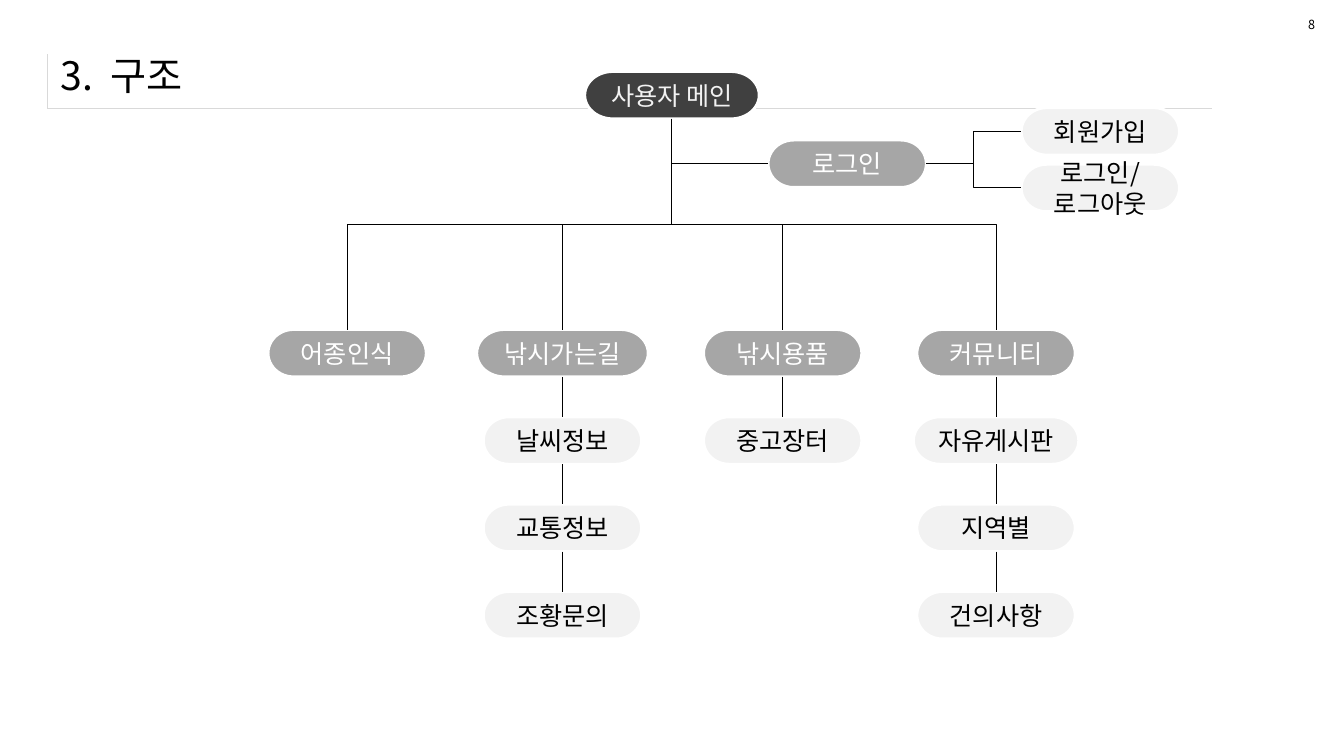
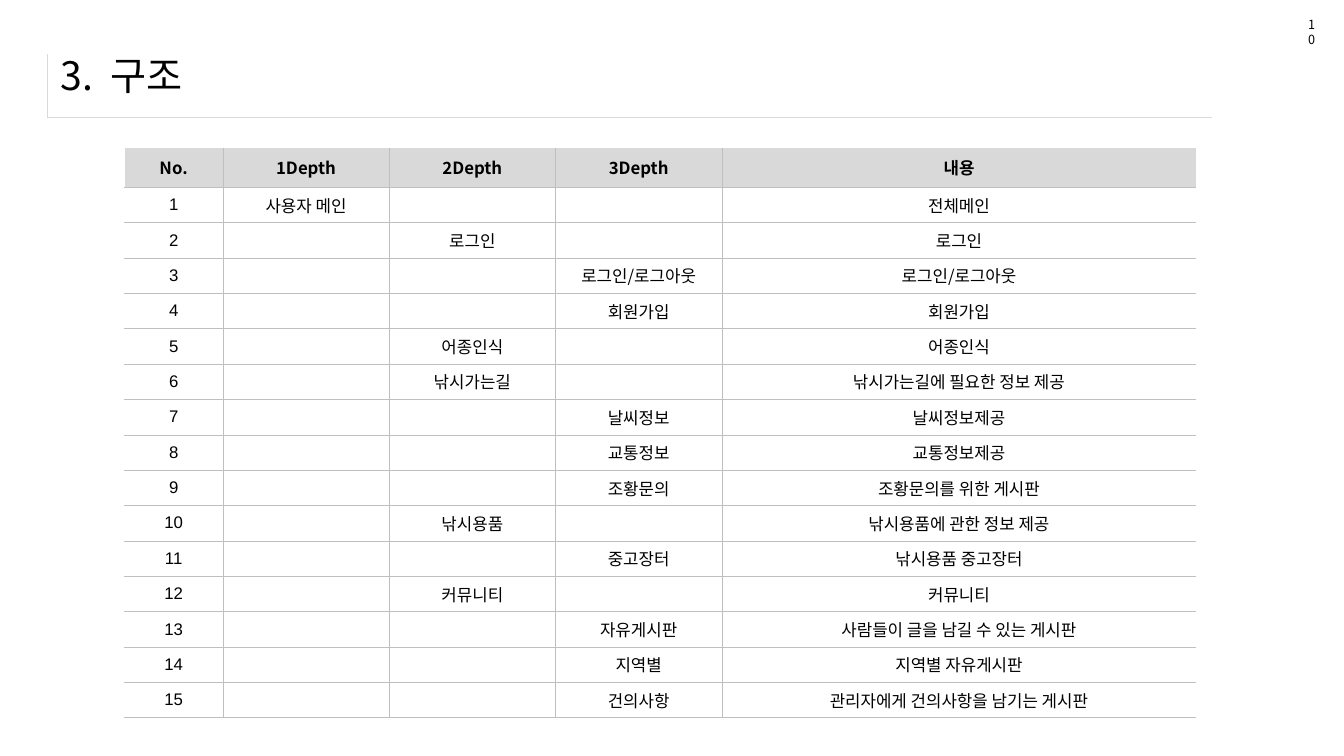
from lxml import etree
from pptx import Presentation
from pptx.dml.color import RGBColor
from pptx.enum.shapes import MSO_CONNECTOR, MSO_SHAPE
from pptx.enum.text import MSO_ANCHOR, MSO_AUTO_SIZE, PP_ALIGN
from pptx.oxml.ns import qn
from pptx.util import Pt

TERMINATOR = MSO_SHAPE.FLOWCHART_TERMINATOR
STRAIGHT, ELBOW = MSO_CONNECTOR.STRAIGHT, MSO_CONNECTOR.ELBOW
MIDDLE, CENTER, LEFT_ALIGN = MSO_ANCHOR.MIDDLE, PP_ALIGN.CENTER, PP_ALIGN.LEFT
TOP, LEFT, BOTTOM, RIGHT = range(4)  # connection sites

COLORS = {
    "black": "000000", "white": "FFFFFF", "dark": "404040", "gray": "A6A6A6",
    "light": "F2F2F2", "frame": "D9D9D9", "grid": "BFBFBF",
}
FONT, NUMBER_FONT = "Noto Sans CJK KR", "Arial"
NO_STYLE = "{2D5ABB26-0587-4C30-8999-92F81FD0307C}"

# Node kinds: fill and text colour
MAIN, MENU, PAGE = ("dark", "light"), ("gray", "white"), ("light", "black")
NODE_WIDTH, NODE_HEIGHT = 113, 33.8
MENU_TOP, LEVEL_STEP = 235.4, 62.4

# Menu columns: centre, then the node names and widths from top to bottom
MENUS = [
    (248, [("어종인식", NODE_WIDTH)]),
    (401.8, [("낚시가는길", 122.4), ("날씨정보", NODE_WIDTH),
             ("교통정보", NODE_WIDTH), ("조황문의", NODE_WIDTH)]),
    (559.1, [("낚시용품", NODE_WIDTH), ("중고장터", NODE_WIDTH)]),
    (711.5, [("커뮤니티", NODE_WIDTH), ("자유게시판", 118),
             ("지역별", NODE_WIDTH), ("건의사항", NODE_WIDTH)]),
]

HEADERS = ["No.", "1Depth", "2Depth", "3Depth", "내용"]
COLUMN_WIDTHS = [70.3, 118.8, 118.8, 118.8, 338.9]
HEADER_HEIGHT, ROW_HEIGHT = 27.9, 25.28

# Depth, page name, description
PAGES = [
    (1, "사용자 메인", "전체메인"),
    (2, "로그인", "로그인"),
    (3, "로그인/로그아웃", "로그인/로그아웃"),
    (3, "회원가입", "회원가입"),
    (2, "어종인식", "어종인식"),
    (2, "낚시가는길", "낚시가는길에 필요한 정보 제공"),
    (3, "날씨정보", "날씨정보제공"),
    (3, "교통정보", "교통정보제공"),
    (3, "조황문의", "조황문의를 위한 게시판"),
    (2, "낚시용품", "낚시용품에 관한 정보 제공"),
    (3, "중고장터", "낚시용품 중고장터"),
    (2, "커뮤니티", "커뮤니티"),
    (3, "자유게시판", "사람들이 글을 남길 수 있는 게시판"),
    (3, "지역별", "지역별 자유게시판"),
    (3, "건의사항", "관리자에게 건의사항을 남기는 게시판"),
]


def color(name):
    return RGBColor.from_string(COLORS[name])


def add_run(paragraph, text, size, color_name="black", bold=False, font=FONT):
    run = paragraph.add_run()
    run.text = text
    run.font.size, run.font.bold, run.font.name = Pt(size), bold, font
    run.font.color.rgb = color(color_name)
    east_asian = etree.SubElement(run.font._element, qn("a:ea"))
    east_asian.set("typeface", FONT)
    return run


# Tables
def add_plain_table(slide, left, top, widths, heights):
    shape = slide.shapes.add_table(
        len(heights), len(widths), Pt(left), Pt(top),
        Pt(sum(widths)), Pt(sum(heights)))
    table = shape.table
    table.first_row = table.horz_banding = False
    table._tbl.tblPr.find(qn("a:tableStyleId")).text = NO_STYLE
    for column, width in zip(table.columns, widths):
        column.width = Pt(width)
    for row, height in zip(table.rows, heights):
        row.height = Pt(height)
    return table


def set_border(cell, side, color_name, width):
    line = etree.SubElement(cell._tc.get_or_add_tcPr(), qn(f"a:ln{side}"))
    line.set("w", str(Pt(width)))
    fill = etree.SubElement(line, qn("a:solidFill"))
    etree.SubElement(fill, qn("a:srgbClr")).set("val", COLORS[color_name])


def fill_cell(cell, text, bold=False, font=FONT):
    cell.vertical_anchor = MIDDLE
    paragraph = cell.text_frame.paragraphs[0]
    paragraph.alignment = CENTER
    if text:
        add_run(paragraph, text, 12, bold=bold, font=font)
    else:
        etree.SubElement(paragraph._p, qn("a:endParaRPr")).set("sz", "1200")


def add_page_table(slide):
    rows = [HEADERS]
    for number, (depth, name, description) in enumerate(PAGES, 1):
        names = [name if level == depth else "" for level in (1, 2, 3)]
        rows.append([str(number), *names, description])
    heights = [HEADER_HEIGHT] + [ROW_HEIGHT] * len(PAGES)
    table = add_plain_table(slide, 88.9, 105.8, COLUMN_WIDTHS, heights)
    last_column = len(HEADERS) - 1
    for row, texts in enumerate(rows):
        for column, text in enumerate(texts):
            cell = table.cell(row, column)
            is_number = row > 0 and column == 0
            fill_cell(cell, text, row == 0, NUMBER_FONT if is_number else FONT)
            if column == 0:
                set_border(cell, "L", "white", 1)
            else:
                set_border(cell, "L", "grid", 0.25)
            if column < last_column:
                set_border(cell, "R", "grid", 0.25)
            if row > 0:
                set_border(cell, "T", "grid", 0.25)
            set_border(cell, "B", "grid", 0.25)
            if row == 0:
                cell.fill.solid()
                cell.fill.fore_color.rgb = color("frame")
            else:
                cell.fill.background()


# Shared slide parts
def prepare_layout(presentation):
    layout = presentation.slide_layouts[5]
    title = layout.placeholders[0]
    title.left, title.top = Pt(36), Pt(29.5)
    title.width, title.height = Pt(899.3), Pt(48.2)
    title.text_frame.vertical_anchor = MIDDLE
    return layout


def add_slide(presentation, layout, page_number, frame_height):
    slide = presentation.slides.add_slide(layout)

    # Title frame: left and bottom rule
    frame = add_plain_table(slide, 33.8, 38.9, [832.3], [frame_height])
    cell = frame.cell(0, 0)
    for side in "LB":
        set_border(cell, side, "frame", 0.25)
    fill_cell(cell, "")
    cell.fill.background()

    # Title, with a wider gap after the chapter number
    title_frame = slide.shapes.title.text_frame
    title_frame.auto_size = MSO_AUTO_SIZE.NONE
    paragraph = title_frame.paragraphs[0]
    paragraph.alignment = LEFT_ALIGN
    add_run(paragraph, "3.", 28)
    gap = add_run(paragraph, " ", 28)
    gap.font._element.set("spc", "600")
    add_run(paragraph, "구조", 28)

    # Page number
    box = slide.shapes.add_textbox(Pt(927.4), Pt(8.6), Pt(19.4), Pt(18))
    box.text_frame.word_wrap = True
    add_run(box.text_frame.paragraphs[0], page_number, 9)
    return slide


# Site map
def add_node(slide, lines, kind, center, top, width=NODE_WIDTH):
    fill, text_color = kind
    node = slide.shapes.add_shape(
        TERMINATOR, Pt(center - width / 2), Pt(top), Pt(width), Pt(NODE_HEIGHT))
    node.shadow.inherit = False
    node.fill.solid()
    node.fill.fore_color.rgb = color(fill)
    node.line.color.rgb = color("white")
    node.line.width = Pt(2)
    frame = node.text_frame
    frame.word_wrap = True
    frame.vertical_anchor = MIDDLE
    for index, line in enumerate(lines):
        paragraph = frame.add_paragraph() if index else frame.paragraphs[0]
        paragraph.alignment = CENTER
        add_run(paragraph, line, 18, text_color)
    return node


def add_line(slide, kind, x=0, y=0):
    connector = slide.shapes.add_connector(kind, Pt(x), Pt(y), Pt(x), Pt(y))
    connector.line.color.rgb = color("black")
    connector.line.width = Pt(0.75)
    etree.SubElement(connector._element.spPr, qn("a:effectLst"))
    return connector


def join(slide, kind, start, start_site, end, end_site):
    connector = add_line(slide, kind)
    connector.begin_connect(start, start_site)
    connector.end_connect(end, end_site)
    return connector


def join_downward(slide, parent, child):
    """Elbow that leaves downward: a quarter turn of the sideways elbow."""
    connector = join(slide, ELBOW, parent, BOTTOM, child, TOP)
    goes_right = connector.end_x > connector.begin_x
    across, down = connector.width, connector.height
    middle_x = connector.left + across // 2
    middle_y = connector.top + down // 2
    connector.left, connector.top = middle_x - down // 2, middle_y - across // 2
    connector.width, connector.height = down, across
    transform = connector._element.spPr.find(qn("a:xfrm"))
    transform.set("rot", "5400000")
    transform.set("flipH", "0")
    transform.set("flipV", "1" if goes_right else "0")


def add_site_map(slide):
    main_center = 480
    main_node = add_node(slide, ["사용자 메인"], MAIN, main_center, 51.1, 124.6)

    # Login branch
    login = add_node(slide, ["로그인"], MENU, 605.2, 100.1)
    trunk_line = add_line(slide, STRAIGHT, main_center, 117)
    trunk_line.end_connect(login, LEFT)
    for lines, top in [(["회원가입"], 77), (["로그인/", "로그아웃"], 117.4)]:
        page = add_node(slide, lines, PAGE, 786, top)
        join(slide, ELBOW, login, RIGHT, page, LEFT)

    # Menu columns
    for center, entries in MENUS:
        above = None
        for level, (name, width) in enumerate(entries):
            node = add_node(slide, [name], PAGE if level else MENU, center,
                            MENU_TOP + level * LEVEL_STEP, width)
            if above is None:
                join_downward(slide, main_node, node)
            else:
                join(slide, STRAIGHT, above, BOTTOM, node, TOP)
            above = node


def main():
    presentation = Presentation()
    presentation.slide_width, presentation.slide_height = Pt(960), Pt(540)
    layout = prepare_layout(presentation)
    add_site_map(add_slide(presentation, layout, "8", 38.2))
    add_page_table(add_slide(presentation, layout, "10", 44.7))
    presentation.save("out.pptx")


if __name__ == "__main__":
    main()
